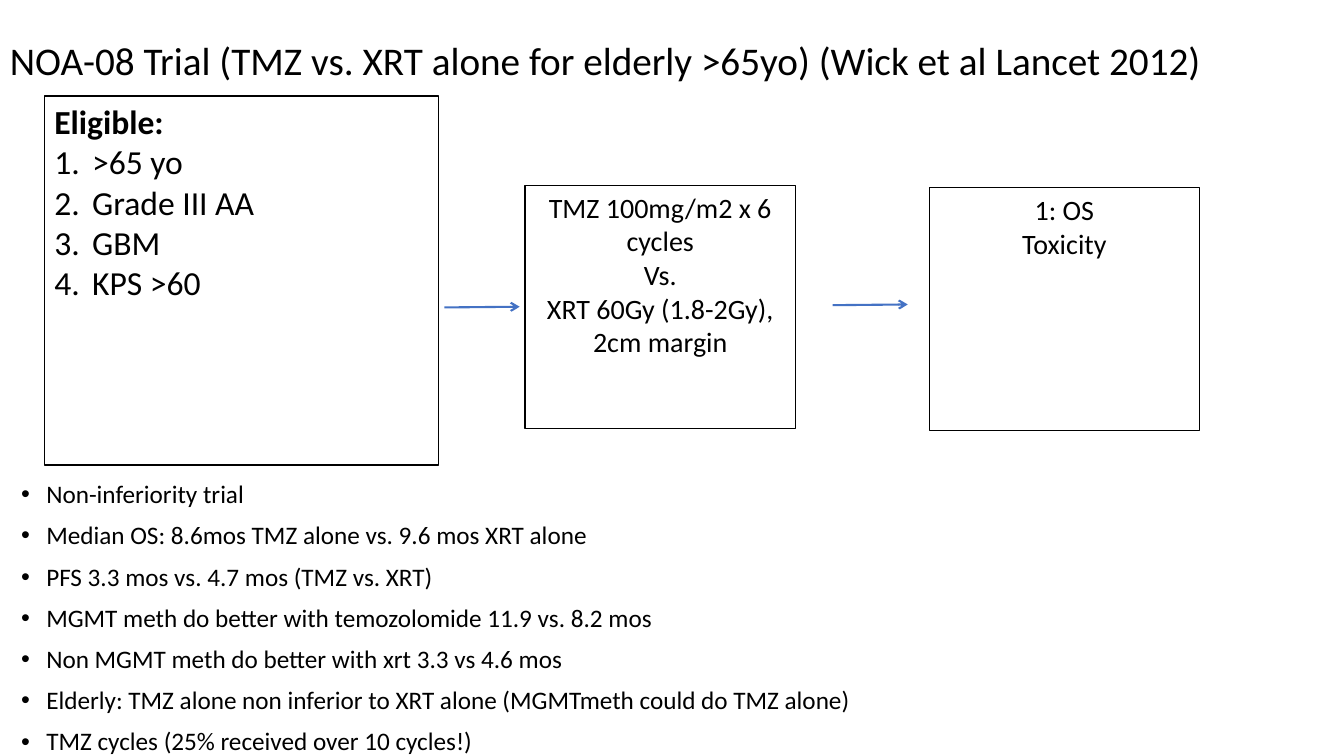
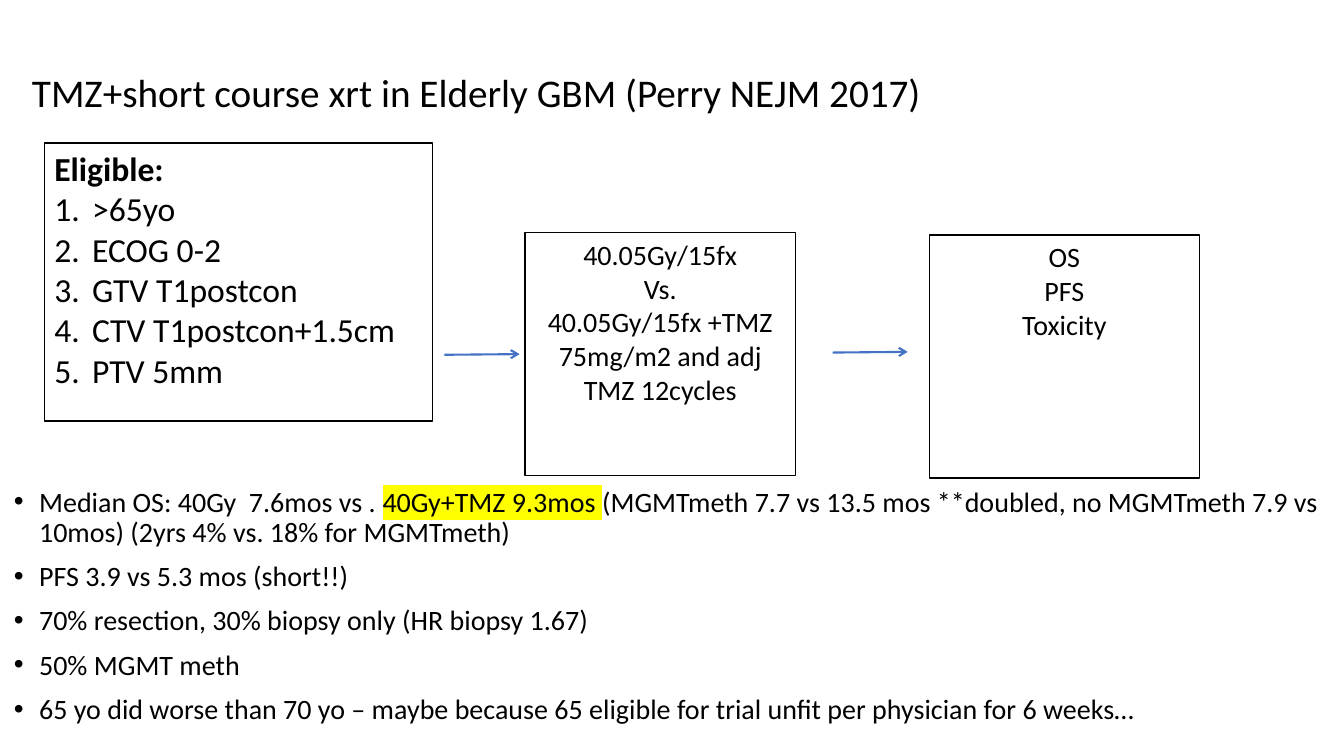
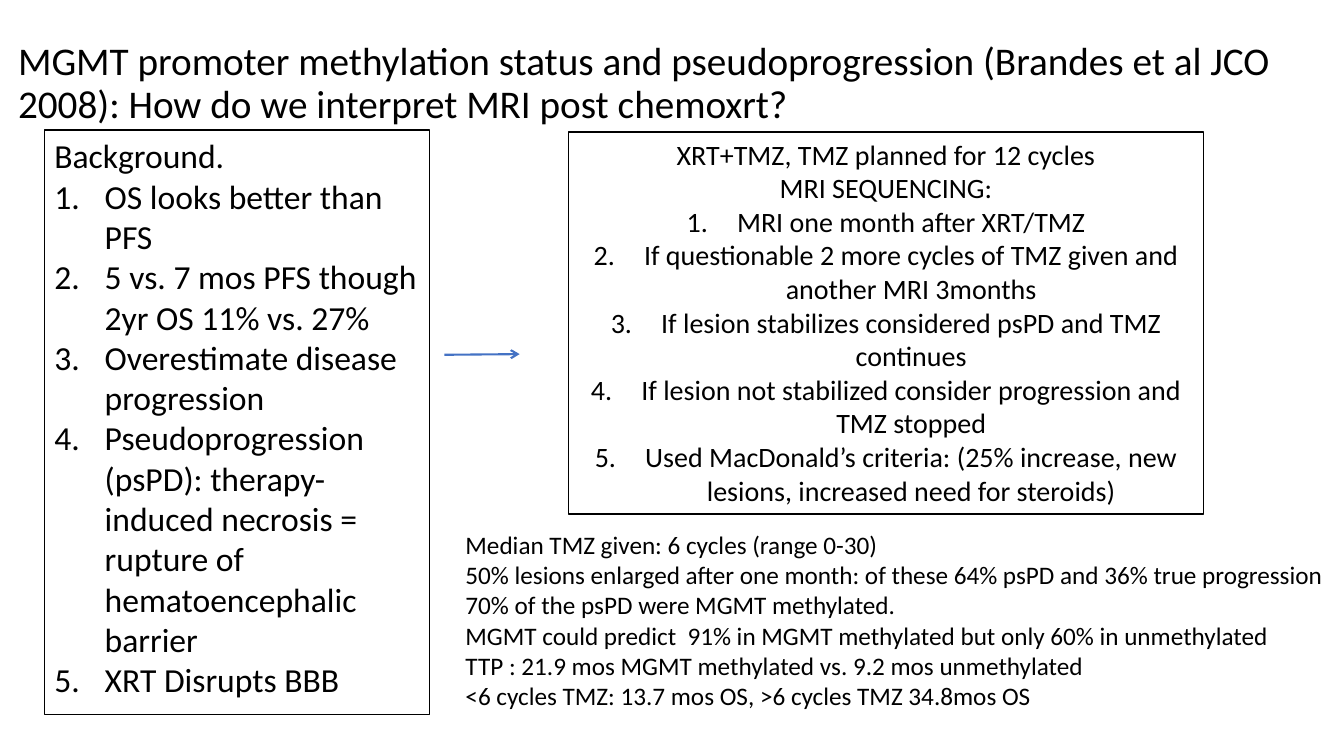
from dataclasses import dataclass
from typing import NamedTuple

from lxml import etree
from pptx import Presentation
from pptx.dml.color import RGBColor
from pptx.enum.shapes import MSO_CONNECTOR, MSO_SHAPE
from pptx.enum.text import MSO_ANCHOR, MSO_AUTO_SIZE, PP_ALIGN
from pptx.oxml.ns import qn
from pptx.slide import Slide
from pptx.text.text import TextFrame
from pptx.util import Pt

RECT, STRAIGHT = MSO_SHAPE.RECTANGLE, MSO_CONNECTOR.STRAIGHT
TOP, MIDDLE = MSO_ANCHOR.TOP, MSO_ANCHOR.MIDDLE
LEFT, CENTER = PP_ALIGN.LEFT, PP_ALIGN.CENTER
GROW = MSO_AUTO_SIZE.SHAPE_TO_FIT_TEXT

BLACK = RGBColor(0x00, 0x00, 0x00)
BLUE = RGBColor(0x44, 0x72, 0xC4)
YELLOW = RGBColor(0xFF, 0xFF, 0x00)
FONT = "Calibri"

TIGHT = {"line_spacing": 0.9}
SPACED = {**TIGHT, "space_before": Pt(10)}
DOT, NUMBER = "dot", "number"

DROP = 33.84  # how much lower the flow row sits on the later slides
ARROW_ONE, ARROW_TWO = (317.5, 219.6), (594.7, 218.0)
ARROW_SPAN, ARROW_RISE = 53.7, 0.5


class Area(NamedTuple):
    left: float
    top: float
    width: float
    height: float

    def points(self) -> list[Pt]:
        return [Pt(side) for side in self]


@dataclass
class Line:
    text: str
    mark: str = ""
    indent: float = 0
    bold: bool = False
    glow: str = ""  # the part of the text that is highlighted


@dataclass
class Trial:
    title: str
    title_area: Area
    rules: list[Line]
    rules_area: Area
    arms: list[Line]
    ends: list[Line]
    facts: list[Line]
    facts_area: Area
    facts_size: float
    drop: float


def plain(*texts: str) -> list[Line]:
    return [Line(text) for text in texts]


def dots(*texts: str) -> list[Line]:
    return [Line(text, DOT, 18) for text in texts]


def numbers(indent: float, *texts: str) -> list[Line]:
    return [Line(text, NUMBER, indent) for text in texts]


def apply(target: object, values: dict[str, object]) -> None:
    for name, value in values.items():
        setattr(target, name, value)


def write(frame: TextFrame, lines: list[Line], size: float,
          form: dict[str, object]) -> None:
    """Fill a text frame, one paragraph a line."""
    for index, line in enumerate(lines):
        para = frame.paragraphs[0] if index == 0 else frame.add_paragraph()
        if line.mark:
            props = para._p.get_or_add_pPr()
            props.set("marL", str(Pt(line.indent)))
            props.set("indent", str(-Pt(line.indent)))
            if line.mark == DOT:
                etree.SubElement(props, qn("a:buFont"), typeface="Arial")
                etree.SubElement(props, qn("a:buChar"), char="•")
            else:
                etree.SubElement(props, qn("a:buAutoNum"), type="arabicPeriod")
        apply(para, form)
        if index == 0:
            para.space_before = Pt(0)
        parts = line.text.partition(line.glow) if line.glow else (line.text,)
        for part in parts:
            run = para.add_run()
            run.text = part
            apply(run.font, {"name": FONT, "size": Pt(size), "bold": line.bold})
            run.font.color.rgb = BLACK
            if line.glow and part == line.glow:
                fill = run._r.get_or_add_rPr().find(qn("a:solidFill"))
                glow = etree.Element(qn("a:highlight"))
                etree.SubElement(glow, qn("a:srgbClr"), val=str(YELLOW))
                fill.addnext(glow)


def add_text(slide: Slide, area: Area, lines: list[Line], size: float,
             form: dict[str, object], frame_form: dict[str, object]) -> None:
    frame = slide.shapes.add_textbox(*area.points()).text_frame
    apply(frame, {"word_wrap": True, **frame_form})
    write(frame, lines, size, form)


def add_title(slide: Slide, area: Area, text: str) -> None:
    add_text(slide, area, plain(text), 28, TIGHT, {"vertical_anchor": MIDDLE})


def add_box(slide: Slide, area: Area, lines: list[Line], size: float,
            align: PP_ALIGN) -> None:
    box = slide.shapes.add_shape(RECT, *area.points())
    box.shadow.inherit = False
    box.fill.background()
    box.line.color.rgb = BLACK
    box.line.width = Pt(1)
    apply(box.text_frame, {"word_wrap": True, "vertical_anchor": TOP})
    write(box.text_frame, lines, size, {"alignment": align})


def add_arrow(slide: Slide, start: tuple[float, float], drop: float) -> None:
    left, top = start[0], start[1] + drop
    arrow = slide.shapes.add_connector(
        STRAIGHT, Pt(left), Pt(top), Pt(left + ARROW_SPAN), Pt(top - ARROW_RISE))
    arrow.line.color.rgb = BLUE
    arrow.line.width = Pt(1.5)
    etree.SubElement(arrow.line._get_or_add_ln(), qn("a:tailEnd"), type="arrow")
    etree.SubElement(arrow._element.spPr, qn("a:effectLst"))


def draw_trial(slide: Slide, trial: Trial) -> None:
    """Draw patients, arms and end points as a row above the findings."""
    add_title(slide, trial.title_area, trial.title)
    add_text(slide, trial.facts_area, trial.facts, trial.facts_size, SPACED, {})
    add_box(slide, trial.rules_area, trial.rules, 24, LEFT)
    add_box(slide, Area(375.1, 132.4 + trial.drop, 193, 173.5), trial.arms, 20, CENTER)
    for start in (ARROW_ONE, ARROW_TWO):
        add_arrow(slide, start, trial.drop)
    add_box(slide, Area(663.8, 134 + trial.drop, 193, 173.5), trial.ends, 20, CENTER)


def draw_review(slide: Slide) -> None:
    add_title(slide, Area(5.8, -0.7, 960, 121.7),
              "MGMT promoter methylation status and pseudoprogression (Brandes et al "
              "JCO 2008): How do we interpret MRI post chemoxrt?")
    add_box(slide, Area(31.7, 93, 275, 417.6), plain("Background.") + numbers(
        36,
        "OS looks better than PFS",
        "5 vs. 7 mos PFS though 2yr OS 11% vs. 27%",
        "Overestimate disease progression",
        "Pseudoprogression (psPD): therapy-induced necrosis = rupture of "
        "hematoencephalic barrier",
        "XRT Disrupts BBB"), 24, LEFT)
    steps = plain("XRT+TMZ, TMZ planned for 12 cycles", "MRI SEQUENCING:") + numbers(
        36,
        "MRI one month after XRT/TMZ",
        "If questionable 2 more cycles of TMZ given and another MRI 3months",
        "If lesion stabilizes considered psPD and TMZ continues",
        "If lesion not stabilized consider progression and TMZ stopped",
        "Used MacDonald’s criteria: (25% increase, new lesions, increased need "
        "for steroids)")
    add_box(slide, Area(406.1, 94.3, 453.6, 272.9), steps, 20, CENTER)
    add_arrow(slide, ARROW_ONE, DROP)
    add_text(slide, Area(325.4, 374.4, 635, 138.2), plain(
        "Median TMZ given: 6 cycles (range 0-30)",
        "50% lesions enlarged after one month: of these 64% psPD and 36% true progression",
        "70% of the psPD were MGMT methylated.",
        "MGMT could predict  91% in MGMT methylated but only 60% in unmethylated",
        "TTP : 21.9 mos MGMT methylated vs. 9.2 mos unmethylated",
        "<6 cycles TMZ: 13.7 mos OS, >6 cycles TMZ 34.8mos OS"),
        18, {}, {"word_wrap": False, "auto_size": GROW})


HEAD = Line("Eligible:", bold=True)

TRIALS = [
    Trial(
        title="NOA-08 Trial (TMZ vs. XRT alone for elderly >65yo) (Wick et al Lancet 2012)",
        title_area=Area(0, -15.8, 960, 121.7),
        rules=[HEAD] + numbers(27, ">65 yo", "Grade III AA", "GBM", "KPS >60"),
        rules_area=Area(31.7, 68.6, 281.5, 263.5),
        arms=plain("TMZ 100mg/m2 x 6 cycles", "Vs.", "XRT 60Gy (1.8-2Gy), 2cm margin"),
        ends=plain("1: OS", "Toxicity"),
        facts=dots(
            "Non-inferiority trial",
            "Median OS: 8.6mos TMZ alone vs. 9.6 mos XRT alone",
            "PFS 3.3 mos vs. 4.7 mos (TMZ vs. XRT)",
            "MGMT meth do better with temozolomide 11.9 vs. 8.2 mos",
            "Non MGMT meth do better with xrt 3.3 vs 4.6 mos",
            "Elderly: TMZ alone non inferior to XRT alone (MGMTmeth could do TMZ alone)",
            "TMZ cycles (25% received over 10 cycles!)"),
        facts_area=Area(8, 340.6, 952, 176.4),
        facts_size=18,
        drop=0),
    Trial(
        title="TMZ+short course xrt in Elderly GBM (Perry NEJM 2017)",
        title_area=Area(15.8, 7.2, 920, 121.7),
        rules=[HEAD] + numbers(27, ">65yo", "ECOG 0-2", "GTV T1postcon",
                               "CTV T1postcon+1.5cm", "PTV 5mm"),
        rules_area=Area(31.7, 102.2, 277.2, 198.7),
        arms=plain("40.05Gy/15fx", "Vs.",
                   "40.05Gy/15fx +TMZ 75mg/m2 and adj TMZ 12cycles"),
        ends=plain("OS", "PFS", "Toxicity"),
        facts=[Line("Median OS: 40Gy  7.6mos vs . 40Gy+TMZ 9.3mos (MGMTmeth 7.7 vs 13.5 mos "
                    "**doubled, no MGMTmeth 7.9 vs 10mos) (2yrs 4% vs. 18% for MGMTmeth)",
                    DOT, 18, glow="40Gy+TMZ 9.3mos ")] + dots(
            "PFS 3.9 vs 5.3 mos (short!!)",
            "70% resection, 30% biopsy only (HR biopsy 1.67)",
            "50% MGMT meth",
            "65 yo did worse than 70 yo – maybe because 65 eligible for trial unfit "
            "per physician for 6 weeks…"),
        facts_area=Area(2.9, 344.9, 952, 178.6),
        facts_size=20,
        drop=DROP),
]


def main() -> None:
    deck = Presentation()
    deck.slide_width, deck.slide_height = Pt(960), Pt(540)
    blank = deck.slide_layouts[6]
    for trial in TRIALS:
        draw_trial(deck.slides.add_slide(blank), trial)
    draw_review(deck.slides.add_slide(blank))
    deck.save("out.pptx")


if __name__ == "__main__":
    main()
